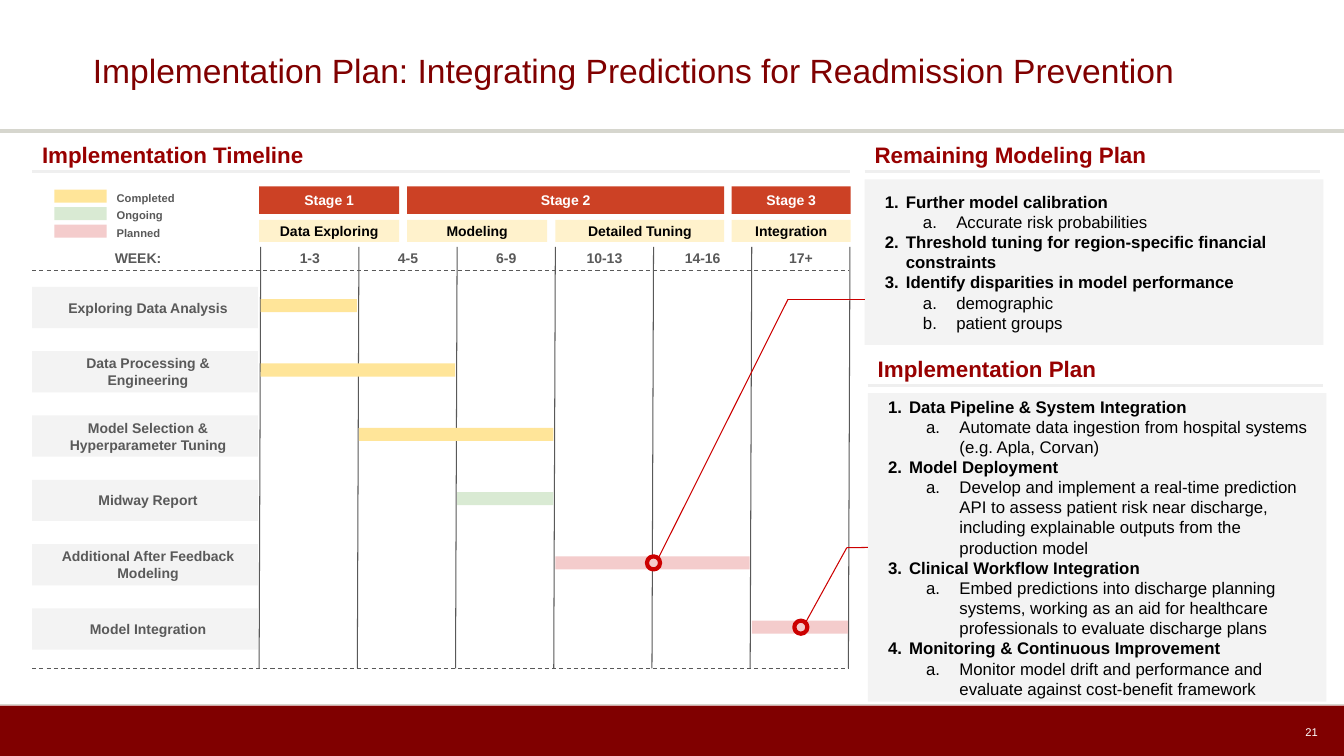
from dataclasses import dataclass

from lxml import etree
from pptx import Presentation
from pptx.dml.color import RGBColor
from pptx.enum.dml import MSO_LINE
from pptx.enum.shapes import MSO_CONNECTOR, MSO_SHAPE
from pptx.enum.text import MSO_ANCHOR, PP_ALIGN
from pptx.oxml.ns import qn
from pptx.util import Cm, Pt

RECT, OVAL = MSO_SHAPE.RECTANGLE, MSO_SHAPE.OVAL
STRAIGHT, DASH = MSO_CONNECTOR.STRAIGHT, MSO_LINE.DASH
MIDDLE, TOP = MSO_ANCHOR.MIDDLE, MSO_ANCHOR.TOP
LEFT, CENTER, RIGHT = PP_ALIGN.LEFT, PP_ALIGN.CENTER, PP_ALIGN.RIGHT
LEFT_SIDE = 1

# Content
TITLE = "Implementation Plan: Integrating Predictions for Readmission Prevention"
PAGE = "21"
STATUSES = ["Completed", "Ongoing", "Planned"]
WEEKS = ["1-3", "4-5", "6-9", "10-13", "14-16", "17+"]
# name, left, width
PHASES = [("Data Exploring", 6.53, 3.53), ("Modeling", 10.26, 3.53),
          ("Detailed Tuning", 14.0, 4.25), ("Integration", 18.44, 3.0)]
# name, first phase, last phase
STAGES = [("Stage 1", 0, 0), ("Stage 2", 1, 2), ("Stage 3", 3, 3)]
# name, start column, end column, status
TASKS = [("Exploring Data Analysis", 0, 1, "Completed"),
         ("Data Processing & Engineering", 0, 2, "Completed"),
         ("Model Selection & Hyperparameter Tuning", 1, 3, "Completed"),
         ("Midway Report", 2, 3, "Ongoing"),
         ("Additional After Feedback Modeling", 3, 5, "Planned"),
         ("Model Integration", 5, 6, "Planned")]
REMAINING = [
    ("Further model calibration", ["Accurate risk probabilities"]),
    ("Threshold tuning for region-specific financial constraints", []),
    ("Identify disparities in model performance", ["demographic", "patient groups"]),
]
ROLLOUT = [
    ("Data Pipeline & System Integration",
     ["Automate data ingestion from hospital systems (e.g. Apla, Corvan)"]),
    ("Model Deployment",
     ["Develop and implement a real-time prediction API to assess patient risk near "
      "discharge, including explainable outputs from the production model"]),
    ("Clinical Workflow Integration",
     ["Embed predictions into discharge planning systems, working as an aid for "
      "healthcare professionals to evaluate discharge plans"]),
    ("Monitoring & Continuous Improvement",
     ["Monitor model drift and performance and evaluate against cost-benefit framework"]),
]
# heading, items, left, top, panel height, task called out, elbow x, elbow y
PLANS = [("Remaining Modeling Plan", REMAINING, 21.79, 3.45, 4.17, 4, 19.86, 7.54),
         ("Implementation Plan", ROLLOUT, 21.87, 8.84, 7.77, 5, 21.34, 13.8)]


@dataclass(frozen=True)
class Theme:
    font: str = "Arial"
    maroon: str = "800000"
    heading: str = "980000"
    stage: str = "CC4125"
    phase: str = "FFF2CC"
    card: str = "F3F3F3"
    rule: str = "EFEFEF"
    frame: str = "D6D6CE"
    grey: str = "595959"
    callout: str = "CC0000"
    black: str = "000000"
    white: str = "FFFFFF"
    title_size: int = 24
    heading_size: int = 16
    body_size: int = 12
    label_size: int = 10
    small_size: int = 8


THEME = Theme()
STATUS_FILL = dict(zip(STATUSES, ["FFE599", "D9EAD3", "F4CCCC"]))

# Timeline geometry in cm
SLIDE_W, SLIDE_H = 33.87, 19.05
GRID_LEFT, GRID_RIGHT, GRID_TOP, GRID_BOTTOM = 6.57, 21.42, 6.22, 16.84
COLUMN_W = (GRID_RIGHT - GRID_LEFT) / len(WEEKS)
LEAN = 0.04
MARGIN = 0.81
ROW_TOP, ROW_PITCH, CARD_W, CARD_H = 7.23, 1.62, 5.69, 1.04
BAR_DROP, BAR_H = 0.31, 0.33
INSET = 0.25

prs = Presentation()
prs.slide_width, prs.slide_height = Cm(SLIDE_W), Cm(SLIDE_H)
slide = prs.slides.add_slide(prs.slide_layouts[6])


def style(paragraph, size, color, bold=True, align=LEFT):
    paragraph.alignment = align
    font = paragraph.font
    font.name, font.size, font.bold = THEME.font, Pt(size), bold
    font.color.rgb = RGBColor.from_string(color)


def set_frame(frame, anchor=MIDDLE, inset_x=INSET, inset_y=INSET):
    frame.word_wrap, frame.vertical_anchor = True, anchor
    frame.margin_left = frame.margin_right = Cm(inset_x)
    frame.margin_top = frame.margin_bottom = Cm(inset_y)


def add_text(text, left, top, width, height, size, color, bold=True, align=LEFT, **frame_options):
    frame = slide.shapes.add_textbox(Cm(left), Cm(top), Cm(width), Cm(height)).text_frame
    set_frame(frame, **frame_options)
    frame.text = text
    style(frame.paragraphs[0], size, color, bold, align)
    return frame


def add_block(left, top, width, height, fill, text="", color=THEME.black):
    block = slide.shapes.add_shape(RECT, Cm(left), Cm(top), Cm(width), Cm(height))
    block.shadow.inherit = False
    block.fill.solid()
    block.fill.fore_color.rgb = RGBColor.from_string(fill)
    block.line.fill.background()
    set_frame(block.text_frame)
    if text:
        block.text_frame.text = text
        style(block.text_frame.paragraphs[0], THEME.label_size, color, align=CENTER)
    return block


def add_line(x1, y1, x2, y2, color, width=0.75, dash=None):
    line = slide.shapes.add_connector(STRAIGHT, Cm(x1), Cm(y1), Cm(x2), Cm(y2))
    line.line.color.rgb = RGBColor.from_string(color)
    line.line.width = Pt(width)
    if dash:
        line.line.dash_style = dash
    etree.SubElement(line._element.spPr, qn("a:effectLst"))
    return line


def add_heading(text, left, top, width):
    frame = add_text(text, left, top, width, 0.81, THEME.heading_size, THEME.heading)
    frame.paragraphs[0].line_spacing = 1.15
    add_line(left, top + 0.87, left + width, top + 0.87, THEME.rule, 2.25)


def fill_outline(frame, items):
    entries = [entry for point, details in items
               for entry in [(point, 0)] + [(detail, 1) for detail in details]]
    for index, (text, level) in enumerate(entries):
        paragraph = frame.add_paragraph() if index else frame.paragraphs[0]
        paragraph.text, paragraph.level = text, level
        indent, hanging, numbering = [(0.79, 0.53, "arabicPeriod"),
                                      (2.06, 0.84, "alphaLcPeriod")][level]
        properties = paragraph._p.get_or_add_pPr()
        properties.set("marL", str(Cm(indent)))
        properties.set("indent", str(-Cm(hanging)))
        etree.SubElement(properties, qn("a:buAutoNum"), type=numbering)
        style(paragraph, THEME.body_size, THEME.black, bold=level == 0)


def column_x(column):
    return GRID_LEFT + column * COLUMN_W


# Slide frame and title
add_block(0, 17.78, SLIDE_W, SLIDE_H - 17.78, THEME.maroon)
add_line(0, 17.75, SLIDE_W, 17.75, THEME.frame)
add_line(0, 3.3, SLIDE_W, 3.3, THEME.frame, 3)
title = add_text(TITLE, 2.34, 0, 31, 3.68, THEME.title_size, THEME.maroon, bold=False,
                 inset_x=0, inset_y=0.13)
title.paragraphs[0].line_spacing = 0.9
add_text(PAGE, 23.93, 17.93, 9.53, 1.02, THEME.small_size, THEME.white, bold=False,
         align=RIGHT, inset_y=0.13)

# Legend
add_heading("Implementation Timeline", MARGIN, 3.45, 20.6)
for index, status in enumerate(STATUSES):
    top = 4.78 + index * 0.44
    add_block(1.37, top, 1.32, BAR_H, STATUS_FILL[status])
    add_text(status, 2.69, top + 0.04, 2.16, BAR_H, THEME.small_size, THEME.grey)

# Stages and phases
for name, first, last in STAGES:
    left = PHASES[first][1]
    add_block(left, 4.7, sum(PHASES[last][1:]) - left, 0.69, THEME.stage, name, THEME.white)
for name, left, width in PHASES:
    add_block(left, 5.54, width, 0.56, THEME.phase, name)

# Week grid
week_labels = [("WEEK:", 2.24)] + [(week, column_x(i)) for i, week in enumerate(WEEKS)]
for label, left in week_labels:
    add_text(label, left, 6.07, COLUMN_W, 0.74, THEME.label_size, THEME.grey,
             align=CENTER, anchor=TOP)
for column in range(len(WEEKS) + 1):
    x = column_x(column)
    add_line(x, GRID_TOP, x - LEAN, GRID_BOTTOM, THEME.grey)
for y in (6.81, GRID_BOTTOM):
    add_line(MARGIN, y, GRID_RIGHT - LEAN, y, THEME.grey, dash=DASH)

# Tasks
for row, (name, start, end, status) in enumerate(TASKS):
    top = ROW_TOP + row * ROW_PITCH
    card = add_block(MARGIN, top, CARD_W, CARD_H, THEME.card, name, THEME.grey)
    card.text_frame.margin_left = Cm(INSET + 0.15)
    add_block(column_x(start), top + BAR_DROP, (end - start) * COLUMN_W - 0.05, BAR_H,
              STATUS_FILL[status])

# Plans, each called out from the middle of its task bar
for heading, items, left, top, height, row, elbow_x, elbow_y in PLANS:
    add_heading(heading, left, top, 11.48)
    panel = add_block(left, top + 1.07, 11.56, height, THEME.card)
    fill_outline(panel.text_frame, items)

    _, start, end, _ = TASKS[row]
    x = column_x((start + end) / 2)
    y = ROW_TOP + row * ROW_PITCH + BAR_DROP + BAR_H / 2
    marker = slide.shapes.add_shape(OVAL, Cm(x - BAR_H / 2), Cm(y - BAR_H / 2),
                                    Cm(BAR_H), Cm(BAR_H))
    marker.shadow.inherit = False
    marker.fill.background()
    marker.line.color.rgb = RGBColor.from_string(THEME.callout)
    marker.line.width = Pt(3)
    add_line(x + 0.12, y - 0.12, elbow_x, elbow_y, THEME.callout)
    lead = add_line(elbow_x, elbow_y, left, elbow_y, THEME.callout)
    if abs(top + 1.07 + height / 2 - elbow_y) < 0.05:
        lead.end_connect(panel, LEFT_SIDE)

prs.save("out.pptx")
